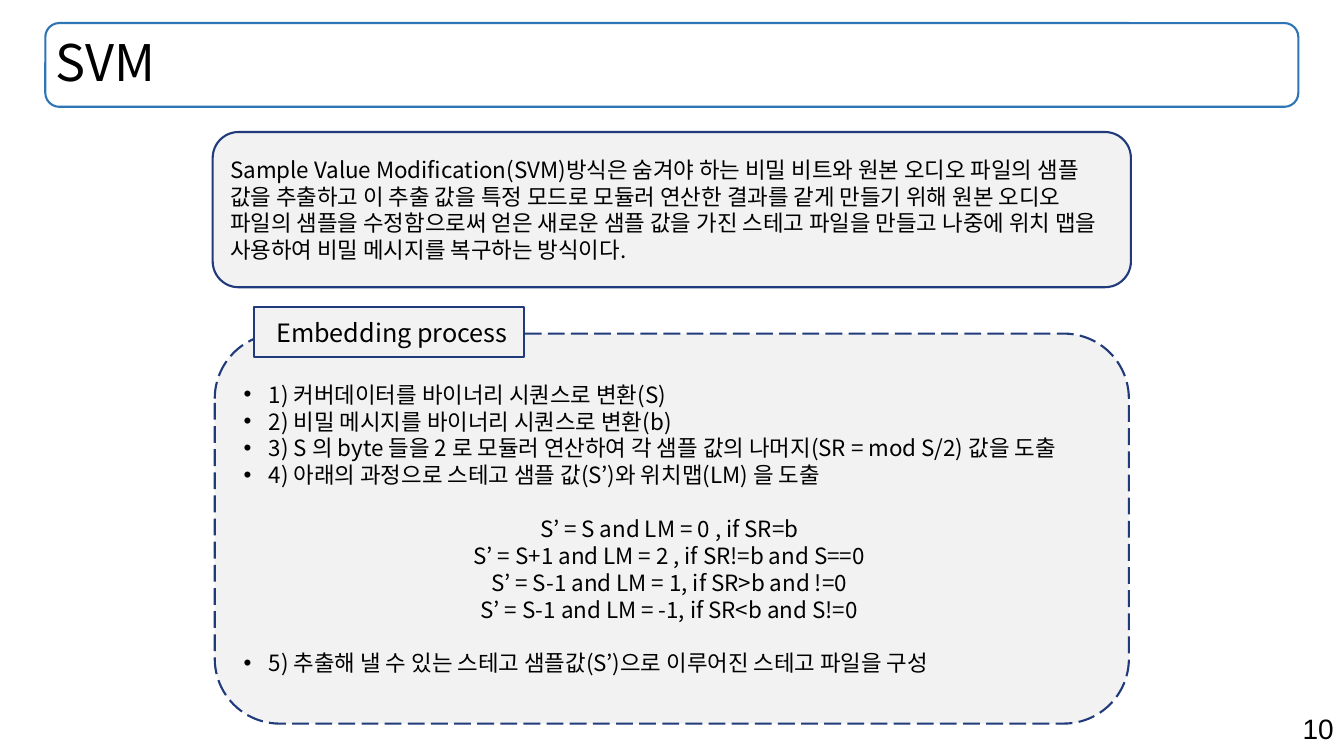
"""Build the SVM audio steganography slide."""
from lxml import etree
from pptx import Presentation
from pptx.dml.color import RGBColor
from pptx.enum import dml, shapes, text
from pptx.oxml import ns
from pptx.util import Pt

BLACK = RGBColor(0x00, 0x00, 0x00)
BLUE = RGBColor(0x2E, 0x75, 0xB6)
NAVY = RGBColor(0x20, 0x3A, 0x7B)
PALE = RGBColor(0xF2, 0xF2, 0xF2)
KOREAN = "Noto Sans CJK KR"
LEFT, CENTER, RIGHT = text.PP_ALIGN.LEFT, text.PP_ALIGN.CENTER, text.PP_ALIGN.RIGHT

TITLE = "SVM"
PAGE = "10"
SUMMARY = (
    "Sample Value Modification(SVM)방식은 숨겨야 하는 비밀 비트와 원본 오디오 파일의 샘플 "
    "값을 추출하고 이 추출 값을 특정 모드로 모듈러 연산한 결과를 같게 만들기 위해 원본 오디오 "
    "파일의 샘플을 수정함으로써 얻은 새로운 샘플 값을 가진 스테고 파일을 만들고 나중에 위치 맵을 "
    "사용하여 비밀 메시지를 복구하는 방식이다."
)
HEADING = " Embedding process"
STEPS = [
    "1) 커버데이터를 바이너리 시퀀스로 변환(S)",
    "2) 비밀 메시지를 바이너리 시퀀스로 변환(b)",
    "3) S 의 byte 들을 2 로 모듈러 연산하여 각 샘플 값의 나머지(SR = mod S/2) 값을 도출",
    "4) 아래의 과정으로 스테고 샘플 값(S’)와 위치맵(LM) 을 도출",
]
RULES = [
    "S’ = S and LM = 0 , if SR=b ",
    "S’ = S+1 and LM = 2 , if SR!=b and S==0 ",
    "S’ = S-1 and LM = 1, if SR>b and !=0 ",
    "S’ = S-1 and LM = -1, if SR<b and S!=0 ",
]
LAST_STEP = ["5) 추출해 낼 수 있는 스테고 샘플값(S’)으로 이루어진 스테고 파일을 구성"]

TITLE_AREA = (32.4, 16.5, 895, 59.8)
SUMMARY_AREA = (151.9, 94.3, 655.9, 110.9)
PROCESS_AREA = (153.4, 238.3, 653, 278.6)
HEADING_AREA = (181.4, 219.6, 193, 35.3)
PAGE_AREA = (679, 504.7, 280.8, 31.7)
INDENT = 18
GROUP_GAP = 19.2


def place(area):
    return [Pt(length) for length in area]


def write(paragraph, words, size, align=LEFT, face=KOREAN, bullet=False):
    paragraph.text = words
    paragraph.alignment = align
    if bullet:
        properties = paragraph._p.get_or_add_pPr()
        properties.set("marL", str(Pt(INDENT)))
        properties.set("indent", str(-Pt(INDENT)))
        etree.SubElement(properties, ns.qn("a:buFont")).set("typeface", "Arial")
        etree.SubElement(properties, ns.qn("a:buChar")).set("char", "•")
    font = paragraph.font
    font.size, font.name = Pt(size), face
    font.color.rgb = BLACK
    defaults = paragraph._p.pPr.find(ns.qn("a:defRPr"))
    etree.SubElement(defaults, ns.qn("a:ea")).set("typeface", face)


def add_panel(slide, kind, area, color=NAVY, fill=PALE):
    panel = slide.shapes.add_shape(kind, *place(area))
    panel.shadow.inherit = False
    if fill is None:
        panel.fill.background()
    else:
        panel.fill.solid()
        panel.fill.fore_color.rgb = fill
    panel.line.color.rgb = color
    panel.line.width = Pt(1.5)
    panel.text_frame.word_wrap = True
    panel.text_frame.vertical_anchor = text.MSO_ANCHOR.MIDDLE
    return panel


def main():
    deck = Presentation()
    deck.slide_width, deck.slide_height = Pt(960), Pt(540)
    slide = deck.slides.add_slide(deck.slide_layouts[5])
    rounded = shapes.MSO_SHAPE.ROUNDED_RECTANGLE

    page = slide.shapes.add_textbox(*place(PAGE_AREA)).text_frame
    page.word_wrap = True
    write(page.paragraphs[0], PAGE, 20, RIGHT, "Arial")

    add_panel(slide, rounded, TITLE_AREA, BLUE, None)
    title = slide.shapes.title
    title.left, title.top, title.width, title.height = place(TITLE_AREA)
    title.text_frame.vertical_anchor = text.MSO_ANCHOR.MIDDLE
    title.text_frame.paragraphs[0].line_spacing = 0.9
    write(title.text_frame.paragraphs[0], TITLE, 36)

    process = add_panel(slide, rounded, PROCESS_AREA)
    process.line.dash_style = dml.MSO_LINE.LONG_DASH
    frame = process.text_frame
    paragraph = frame.paragraphs[0]
    for group in (STEPS, RULES, LAST_STEP):
        for index, words in enumerate(group):
            if words != STEPS[0]:
                paragraph = frame.add_paragraph()
                paragraph.space_before = Pt(0 if index else GROUP_GAP)
            is_rule = group is RULES
            write(paragraph, words, 16, CENTER if is_rule else LEFT, bullet=not is_rule)

    summary = add_panel(slide, rounded, SUMMARY_AREA)
    write(summary.text_frame.paragraphs[0], SUMMARY, 16)
    heading = add_panel(slide, shapes.MSO_SHAPE.RECTANGLE, HEADING_AREA)
    write(heading.text_frame.paragraphs[0], HEADING, 18, CENTER)

    deck.save("out.pptx")


if __name__ == "__main__":
    main()
